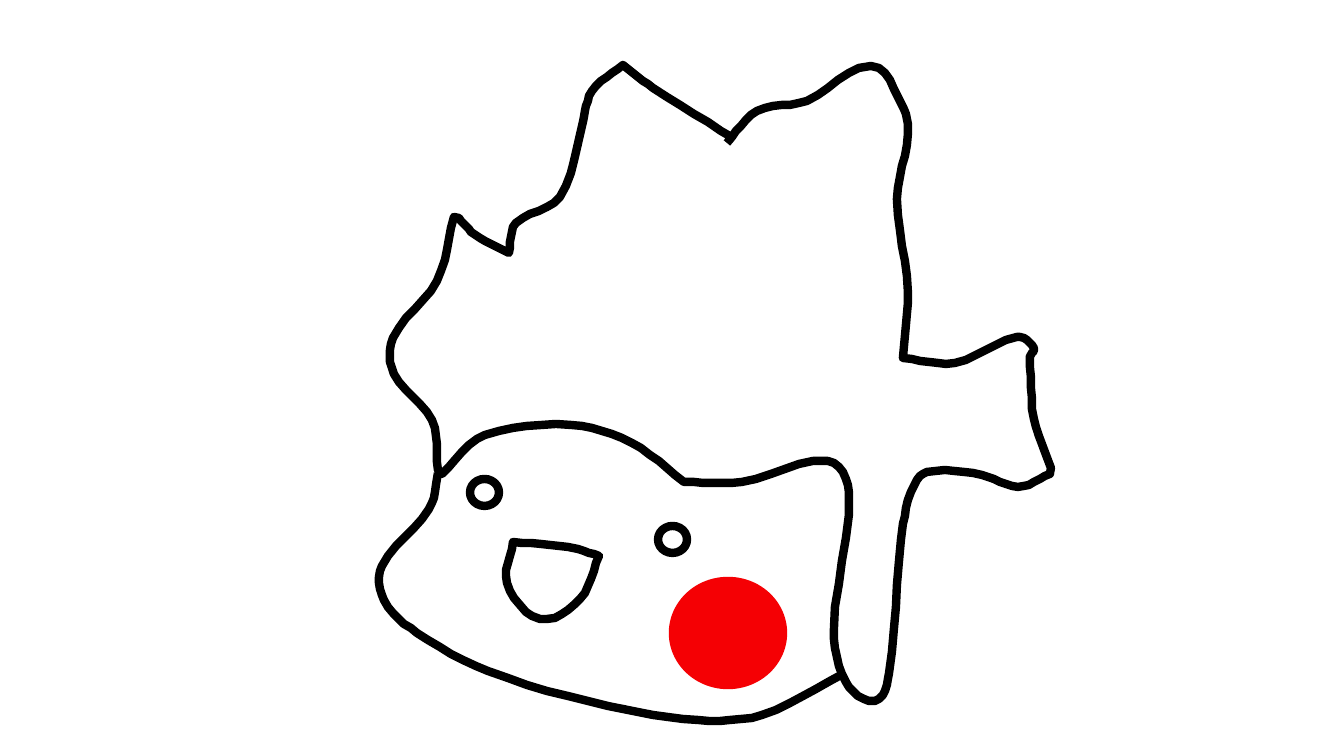
from lxml import etree
from pptx import Presentation
from pptx.dml.color import RGBColor
from pptx.enum.shapes import MSO_SHAPE
from pptx.oxml.ns import qn
from pptx.util import Pt

OVAL = MSO_SHAPE.OVAL
BLACK = RGBColor(0x00, 0x00, 0x00)
RED = RGBColor(0xF5, 0x00, 0x04)
EMU_PER_PIXEL = 914400 / 100.8
SLIDE_SIZE = (1344, 756)
PEN = 6
STEPS = 6

# Pen strokes in pixels: smooth sections that meet at sharp corners
BODY = [
    # right ear and side
    [(727, 143), (757, 111), (807, 101), (871, 66), (902, 105), (908, 134),
     (897, 199), (908, 292), (903, 358)],
    # arm
    [(903, 358), (955, 363), (1017, 337), (1034, 348), (1030, 356)],
    [(1030, 356), (1034, 419), (1051, 468)],
    # leg
    [(1050, 474), (1018, 487), (982, 475), (927, 472), (911, 492), (901, 540),
     (889, 674), (875, 701), (846, 682), (834, 630), (849, 492), (828, 461),
     (742, 482), (684, 482)],
    # top of the face
    [(684, 482), (632, 443), (571, 425), (485, 435), (442, 474)],
    # left side
    [(438, 470), (432, 420), (394, 374), (393, 338), (437, 281), (454, 217)],
    [(459, 218), (474, 234), (509, 253)],
    # left ear
    [(509, 253), (516, 223), (560, 197), (583, 122), (592, 91), (623, 65)],
    [(623, 65), (653, 88), (735, 139)],
]
CHIN = [[(438, 473), (429, 509), (382, 566), (384, 600), (417, 633),
         (488, 671), (608, 706), (698, 720), (762, 715), (843, 674)]]
MOUTH = [[(513, 542), (568, 547), (599, 556)],
         [(599, 556), (580, 599), (540, 619), (507, 583), (513, 542)]]
STROKES = [BODY, CHIN, MOUTH]

# Ovals: left, top, width, height, fill, line
OVALS = [
    (470, 479, 29, 27, None, BLACK),    # left eye
    (658, 526, 29, 27, None, BLACK),    # right eye
    (673, 581, 110, 104, RED, RED),     # cheek
]


def px(length):
    return round(length * EMU_PER_PIXEL)


def smooth(section):
    """Points along a curve through every point of the section."""
    spots = [complex(*point) for point in section]
    padded = spots[:1] + spots + spots[-1:]
    curve = spots[:1]
    for before, start, end, after in zip(padded, spots, spots[1:], padded[3:]):
        reach = abs(end - start) / 3
        leave, arrive = end - before, after - start
        first = start + reach * leave / abs(leave)
        second = end - reach * arrive / abs(arrive)
        for step in range(1, STEPS + 1):
            t = step / STEPS
            u = 1 - t
            curve.append(u**3 * start + 3 * u * u * t * first
                         + 3 * u * t * t * second + t**3 * end)
    return [(spot.real, spot.imag) for spot in curve]


def style(shape, fill, color):
    shape.shadow.inherit = False
    if fill is None:
        shape.fill.background()
    else:
        shape.fill.solid()
        shape.fill.fore_color.rgb = fill
    shape.line.color.rgb = color
    shape.line.width = Pt(PEN)
    outline = shape.line.fill._xPr
    etree.SubElement(outline, qn("a:round"))


deck = Presentation()
deck.slide_width, deck.slide_height = map(px, SLIDE_SIZE)
page = deck.slides.add_slide(deck.slide_layouts[6])

# Body, chin and mouth
for sections in STROKES:
    points = [point for section in sections for point in smooth(section)]
    builder = page.shapes.build_freeform(*points[0], scale=EMU_PER_PIXEL)
    builder.add_line_segments(points[1:], close=sections is MOUTH)
    style(builder.convert_to_shape(), None, BLACK)

# Eyes and cheek
for *frame, fill, color in OVALS:
    style(page.shapes.add_shape(OVAL, *map(px, frame)), fill, color)

deck.save("out.pptx")
